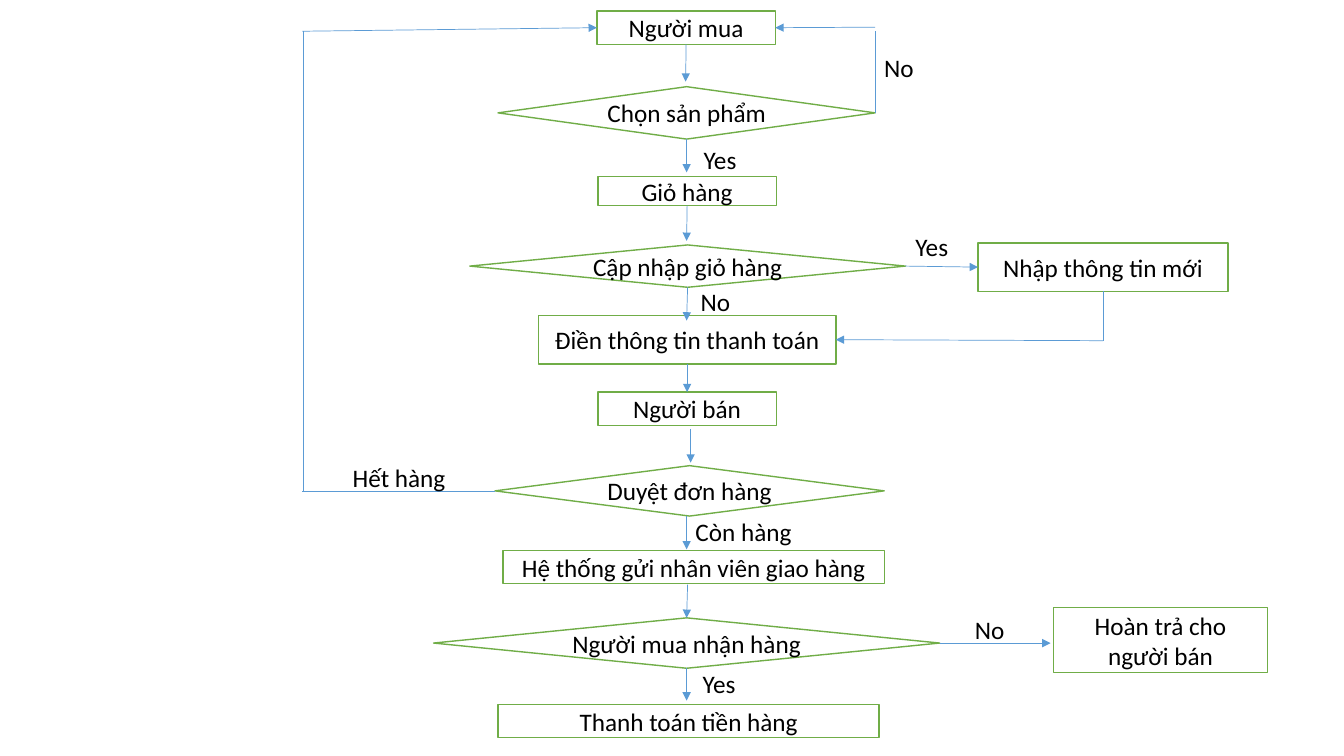
from dataclasses import dataclass
from typing import NamedTuple

from lxml.etree import SubElement
from pptx import Presentation
from pptx.dml.color import RGBColor
from pptx.enum.shapes import MSO_CONNECTOR, MSO_SHAPE
from pptx.enum.text import MSO_ANCHOR, MSO_AUTO_SIZE, PP_ALIGN
from pptx.oxml.ns import qn
from pptx.util import Inches, Pt

CELL = 0.1  # grid column and row, in inches
WHITE, BLACK, GREEN, BLUE = "FFFFFF", "000000", "70AD47", "5B9BD5"
BOX, TEST = MSO_SHAPE.RECTANGLE, MSO_SHAPE.FLOWCHART_DECISION
TOP, LEFT, BOTTOM, RIGHT = range(4)


@dataclass
class Step:
    key: str
    text: str
    kind: MSO_SHAPE
    col: float
    row: float
    cols: float
    rows: float


class Label(NamedTuple):
    text: str
    col: float
    row: float
    cols: float


class Spot(NamedTuple):
    col: float
    row: float


class Joint(NamedTuple):
    key: str
    side: int


class Link(NamedTuple):
    start: Spot | Joint
    end: Spot | Joint
    arrow: bool = True


STEPS = [
    Step("buyer", "Người mua", BOX, 59.2, 1.1, 17.7, 3.3),
    Step("pick", "Chọn sản phẩm", TEST, 49.4, 8.6, 37.4, 5.2),
    Step("cart", "Giỏ hàng", BOX, 59.3, 17.5, 17.7, 2.9),
    Step("update", "Cập nhập giỏ hàng", TEST, 46.6, 24.3, 43.2, 4.2),
    Step("form", "Điền thông tin thanh toán", BOX, 53.4, 31.3, 29.5, 4.8),
    Step("seller", "Người bán", BOX, 59.3, 38.9, 17.7, 3.3),
    Step("review", "Duyệt đơn hàng", TEST, 49.1, 46.2, 38.6, 5),
    Step("send", "Hệ thống gửi nhân viên giao hàng", BOX, 49.9, 54.6, 37.8, 3.3),
    Step("receive", "Người mua nhận hàng", TEST, 43, 61.3, 50.2, 5),
    Step("pay", "Thanh toán tiền hàng", BOX, 49.4, 69.9, 37.8, 3.3),
    Step("new", "Nhập thông tin mới", BOX, 97, 24.1, 24.8, 4.8),
    Step("refund", "Hoàn trả cho người bán", BOX, 104.5, 60.3, 21.2, 6.4),
]

LINKS = [
    # main column, top to bottom
    Link(Joint("buyer", BOTTOM), Spot(68, 8.1)),
    Link(Joint("pick", BOTTOM), Spot(68.1, 17.1)),
    Link(Joint("cart", BOTTOM), Spot(68.1, 23.9)),
    Link(Joint("update", BOTTOM), Spot(68.1, 31.8)),
    Link(Joint("form", BOTTOM), Joint("seller", TOP)),
    Link(Spot(68.5, 42.6), Spot(68.5, 45.9)),
    Link(Spot(68.1, 51.2), Spot(68.1, 54.5)),
    Link(Spot(68.2, 58), Joint("receive", TOP)),
    Link(Joint("receive", BOTTOM), Spot(68.1, 69.5)),
    # nothing picked: back to the buyer
    Link(Joint("pick", RIGHT), Spot(86.8, 3.1), False),
    Link(Spot(86.8, 2.7), Joint("buyer", RIGHT)),
    # new details
    Link(Joint("update", RIGHT), Joint("new", LEFT)),
    Link(Joint("new", BOTTOM), Spot(109.4, 33.8), False),
    Link(Spot(109.4, 33.8), Joint("form", RIGHT)),
    # out of stock: back to the buyer
    Link(Joint("review", LEFT), Spot(30, 48.7), False),
    Link(Spot(30.1, 48.7), Spot(30.1, 3.1), False),
    Link(Spot(30, 3.1), Joint("buyer", LEFT)),
    # refund
    Link(Joint("receive", RIGHT), Spot(104.2, 63.8)),
]

LABELS = [
    Label("No", 86.7, 4.7, 5),
    Label("Yes", 68.8, 13.8, 6),
    Label("No", 68.5, 27.9, 5),
    Label("Yes", 89.8, 22.5, 6),
    Label("Hết hàng", 34, 45.4, 11.3),
    Label("Còn hàng", 68, 50.7, 11.7),
    Label("No", 95.7, 60.5, 6),
    Label("Yes", 68.7, 65.8, 6),
]


def color(code: str) -> RGBColor:
    return RGBColor.from_string(code)


def grid(*cells: float) -> list[int]:
    """Turn counts of grid cells into lengths."""
    return [Inches(cell * CELL) for cell in cells]


def write(frame, text: str) -> None:
    frame.text = text
    font = frame.paragraphs[0].runs[0].font
    font.name, font.size = "Calibri", Pt(18)
    font.color.rgb = color(BLACK)


def draw_step(slide, step: Step):
    shape = slide.shapes.add_shape(
        step.kind, *grid(step.col, step.row, step.cols, step.rows))
    shape.shadow.inherit = False
    shape.fill.solid()
    shape.fill.fore_color.rgb = color(WHITE)
    shape.line.color.rgb = color(GREEN)
    shape.line.width = Pt(1)
    frame = shape.text_frame
    frame.word_wrap = True
    frame.vertical_anchor = MSO_ANCHOR.MIDDLE
    write(frame, step.text)
    frame.paragraphs[0].alignment = PP_ALIGN.CENTER
    return shape


def draw_link(slide, link: Link, shapes: dict) -> None:
    start, end = (grid(*tip) if isinstance(tip, Spot) else (0, 0)
                  for tip in link[:2])
    line = slide.shapes.add_connector(MSO_CONNECTOR.STRAIGHT, *start, *end)
    for tip, join in ((link.start, line.begin_connect),
                      (link.end, line.end_connect)):
        if isinstance(tip, Joint):
            join(shapes[tip.key], tip.side)
    line.line.color.rgb = color(BLUE)
    line.line.width = Pt(0.5)
    props = line._element.spPr
    if link.arrow:
        SubElement(props.find(qn("a:ln")), qn("a:tailEnd"), type="triangle")
    SubElement(props, qn("a:effectLst"))


def draw_label(slide, label: Label) -> None:
    box = slide.shapes.add_textbox(*grid(label.col, label.row, label.cols, 4))
    box.text_frame.word_wrap = False
    box.text_frame.auto_size = MSO_AUTO_SIZE.SHAPE_TO_FIT_TEXT
    write(box.text_frame, label.text)


def main() -> None:
    deck = Presentation()
    deck.slide_width, deck.slide_height = Inches(13.33), Inches(7.5)
    slide = deck.slides.add_slide(deck.slide_layouts[6])
    shapes = {step.key: draw_step(slide, step) for step in STEPS}
    for link in LINKS:
        draw_link(slide, link, shapes)
    for label in LABELS:
        draw_label(slide, label)
    deck.save("out.pptx")


if __name__ == "__main__":
    main()
